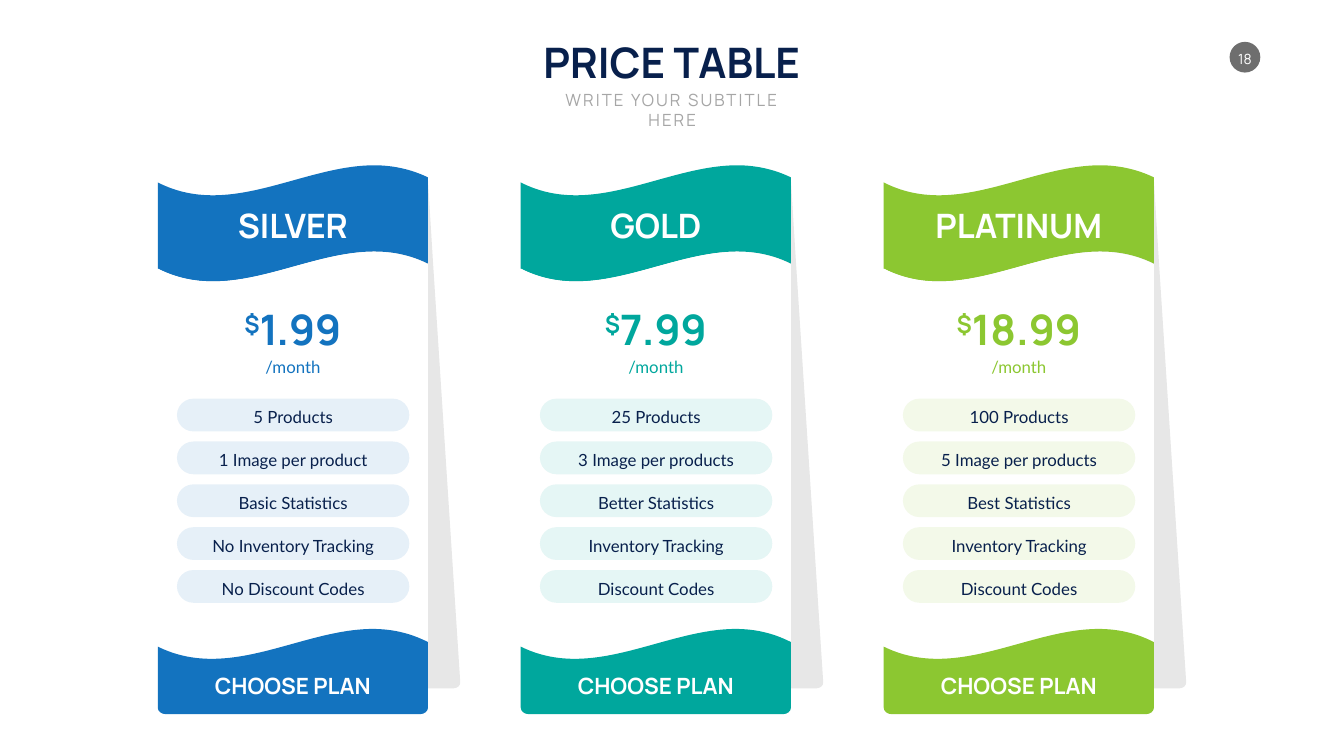
from lxml import etree
from pptx import Presentation
from pptx.dml.color import RGBColor
from pptx.enum import shapes, text
from pptx.oxml.ns import qn
from pptx.util import Inches, Pt

NAVY, WHITE = "08204C", "FFFFFF"
CARD_LEFT, CARD_STEP, CARD_WIDTH = 3.13, 7.2, 5.36
PILL_TOP, PILL_STEP = 7.91, 0.85

PLANS = [
    ("SILVER", 2.43, "1.99", 2.16, "1373BF",
     ["5 Products", "1 Image per product", "Basic Statistics",
      "No Inventory Tracking", "No Discount Codes"]),
    ("GOLD", 2.05, "7.99", 2.29, "00A79D",
     ["25 Products", "3 Image per products", "Better Statistics",
      "Inventory Tracking", "Discount Codes"]),
    ("PLATINUM", 3.64, "18.99", 2.7, "8CC731",
     ["100 Products", "5 Image per products", "Best Statistics",
      "Inventory Tracking", "Discount Codes"]),
]

# Outlines: x from the card's left side, y from the top of the page.
# Two numbers are a corner; six are a Bezier curve (two controls, then its end).
SHADOW = [(4.34, 3.36), (4.67, 3.37, 5.01, 3.43, 5.36, 3.59), (5.46, 5.21),
          (6, 13.54), (6, 13.6, 5.95, 13.66, 5.85, 13.66), (0.8, 13.66),
          (0.7, 13.66, 0.64, 13.6, 0.64, 13.54), (0.56, 12.4), (0.1, 5.3),
          (0, 3.68), (1.5, 4.38, 2.88, 3.33, 4.34, 3.36)]
BANNER = [(4.36, 3.28), (4.69, 3.29, 5.03, 3.36, 5.36, 3.52), (5.36, 5.23),
          (3.58, 4.35, 1.79, 6.24, 0, 5.33), (0, 3.62),
          (1.45, 4.36, 2.9, 3.25, 4.36, 3.28)]
CARD = [(0, 5.33), (0, 14.04), (0, 14.11, 0.07, 14.17, 0.16, 14.17),
        (5.2, 14.17), (5.29, 14.17, 5.36, 14.11, 5.36, 14.04), (5.36, 5.24),
        (3.58, 4.35, 1.79, 6.24, 0, 5.33)]
BUTTON = [(4.19, 12.48), (4.58, 12.47, 4.97, 12.54, 5.36, 12.74), (5.36, 14.04),
          (5.36, 14.11, 5.29, 14.17, 5.2, 14.17), (0.16, 14.17),
          (0.07, 14.17, 0, 14.11, 0, 14.04), (0, 12.83),
          (1.4, 13.52, 2.79, 12.52, 4.19, 12.48)]


def paint(shape, colour, opacity=100):
    """Give a shape a flat fill, with no line and no shadow."""
    shape.shadow.inherit = False
    shape.line.fill.background()
    shape.fill.solid()
    shape.fill.fore_color.rgb = RGBColor.from_string(colour)
    if opacity < 100:
        tint = shape._element.spPr.find(qn("a:solidFill")).find(qn("a:srgbClr"))
        etree.SubElement(tint, qn("a:alpha")).set("val", str(opacity * 1000))


def write(shape, words, size, colour, font="Manrope", bold=False, wrap=False,
          anchor=text.MSO_ANCHOR.MIDDLE):
    """Fill a shape with one centred paragraph, one span for each word."""
    frame = shape.text_frame
    frame.word_wrap = wrap
    frame.auto_size = text.MSO_AUTO_SIZE.NONE
    frame.vertical_anchor = anchor
    para = frame.paragraphs[0]
    para.alignment = text.PP_ALIGN.CENTER
    para.space_before = Pt(0)
    for word in words:
        span = para.add_run()
        span.text = word
        for name, value in {"size": Pt(size), "name": font, "bold": bold}.items():
            setattr(span.font, name, value)
        span.font.color.rgb = RGBColor.from_string(colour)
    return para


deck = Presentation()
deck.slide_width, deck.slide_height = Inches(26.66), Inches(15)
page = deck.slides.add_slide(deck.slide_layouts[0])

# Heading
title, subtitle = page.placeholders
for holder, box in [(title, (10.66, 0.67, 5.33, 1.11)),
                    (subtitle, (10.62, 1.72, 5.43, 0.5))]:
    holder.left, holder.top, holder.width, holder.height = map(Inches, box)
write(title, ["PRICE TABLE"], 60, NAVY, bold=True, anchor=text.MSO_ANCHOR.TOP)
para = write(subtitle, ["WRITE YOUR SUBTITLE HERE"], 24, "A6A6A6", wrap=True,
             anchor=text.MSO_ANCHOR.TOP)
para.runs[0].font._element.set("spc", "300")

# Page number
badge = page.shapes.add_shape(shapes.MSO_SHAPE.OVAL, Inches(24.39), Inches(0.83),
                              Inches(0.61), Inches(0.61))
paint(badge, "6E6E6E")
write(badge, ["18"], 20, WHITE)
for side, inset in {"left": 0, "right": 0, "top": 0.05, "bottom": 0}.items():
    setattr(badge.text_frame, "margin_" + side, Inches(inset))

# Price cards
for column, (plan, plan_width, price, price_width, colour, features) in enumerate(PLANS):
    left = CARD_LEFT + column * CARD_STEP
    middle = left + CARD_WIDTH / 2

    for outline, fill, opacity in [(SHADOW, "161616", 10), (BANNER, colour, 100),
                                   (CARD, WHITE, 100), (BUTTON, colour, 100)]:
        corners = [(Inches(left + segment[-2]), Inches(segment[-1])) for segment in outline]
        builder = page.shapes.build_freeform(*corners[0])
        builder.add_line_segments(corners[1:], close=True)
        panel = builder.convert_to_shape()
        paint(panel, fill, opacity)
        # Bend the sides that have control points
        sides = list(panel._element.iter(qn("a:lnTo")))
        for side, segment in zip(sides, outline[1:]):
            if len(segment) == 6:
                side.tag = qn("a:cubicBezTo")
                side.remove(side[0])
                for x, y in zip(segment[::2], segment[1::2]):
                    point = etree.SubElement(side, qn("a:pt"))
                    point.set("x", str(Inches(left + x) - panel.left))
                    point.set("y", str(Inches(y) - panel.top))

    for row, feature in enumerate(features):
        pill = page.shapes.add_shape(
            shapes.MSO_SHAPE.ROUNDED_RECTANGLE, Inches(left + 0.38),
            Inches(PILL_TOP + row * PILL_STEP), Inches(4.61), Inches(0.65))
        pill.adjustments[0] = 0.5
        paint(pill, colour, 10)
        write(pill, [feature], 24, NAVY, font="Lato", wrap=True).line_spacing = Pt(35)

    for words, top, width, height, size, ink, font, bold in [
            ([plan], 4.01, plan_width, 0.91, 48, WHITE, "Manrope", True),
            (["$", price], 5.97, price_width, 1.11, 60, colour, "Manrope", True),
            (["/month"], 7.02, 1.29, 0.5, 24, colour, "Lato", False),
            (["CHOOSE PLAN"], 13.28, 3.35, 0.64, 32, WHITE, "Manrope", True)]:
        label = page.shapes.add_textbox(Inches(middle - width / 2), Inches(top),
                                        Inches(width), Inches(height))
        para = write(label, words, size, ink, font, bold)
        if words[0] == "$":
            para.runs[0].font._element.set("baseline", "30000")

deck.save("out.pptx")
